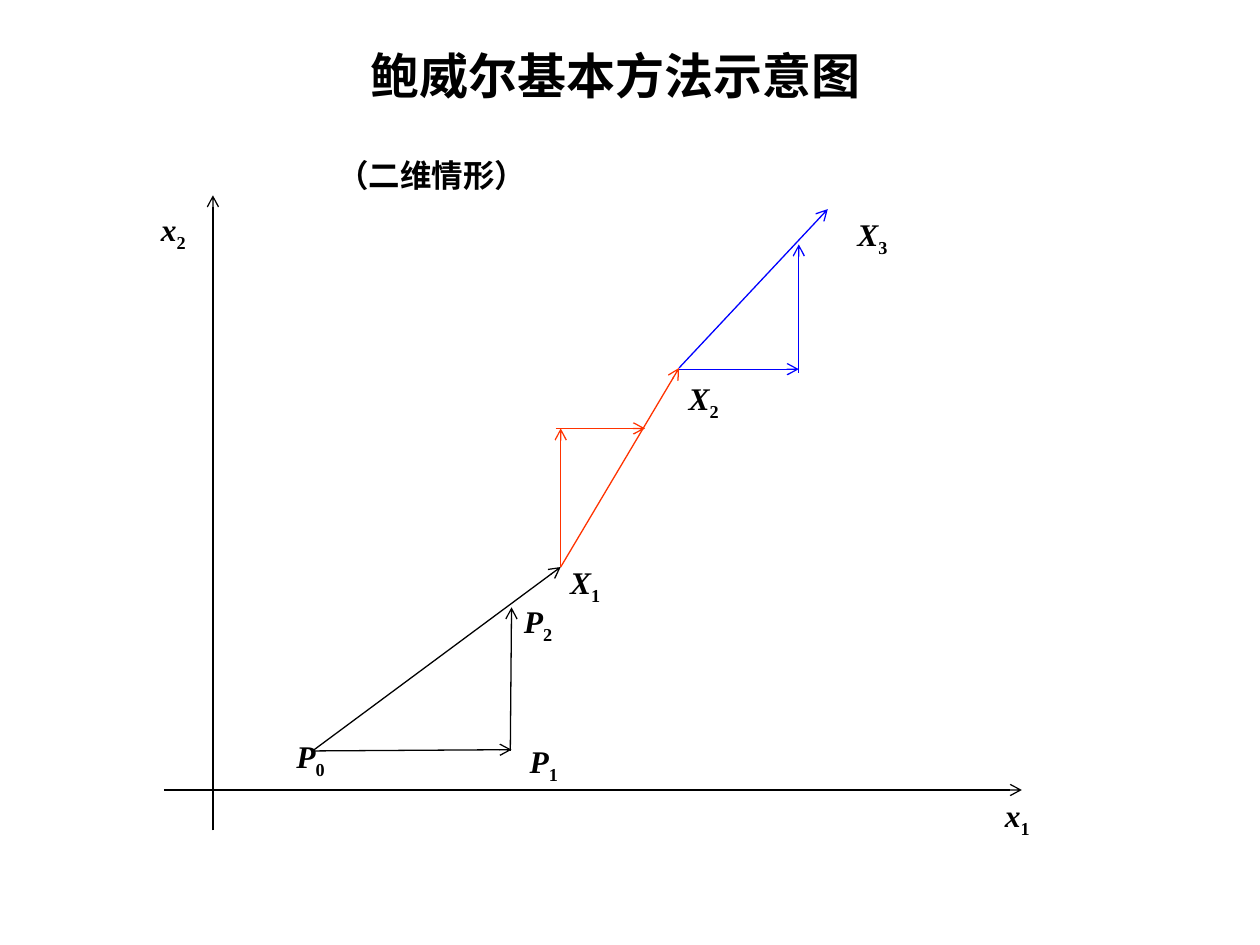
from pptx import Presentation
from pptx.dml.color import RGBColor
from pptx.enum.shapes import MSO_CONNECTOR
from pptx.enum.text import MSO_AUTO_SIZE, PP_ALIGN
from pptx.oxml.ns import qn
from pptx.util import Inches, Pt
from lxml.etree import SubElement

COLORS = {"black": "000000", "red": "FF3300", "blue": "0000FF"}
FONT = "Times New Roman"

# Points where one search cycle ends and the next begins
P0, X1, X2, X3 = (2.48, 5.96), (4.45, 4.5), (5.39, 2.92), (6.57, 1.66)

# Arrows by colour: (start, end)
ARROWS = {
    "black": [
        ((1.3, 6.27), (8.11, 6.27)),   # x1 axis
        ((1.69, 6.59), (1.69, 1.55)),  # x2 axis
        (P0, (4.06, 5.95)),
        ((4.05, 5.96), (4.06, 4.82)),
        (P0, X1),
    ],
    "red": [
        (X1, (4.45, 3.4)),
        ((4.41, 3.4), (5.12, 3.4)),
        (X1, X2),
    ],
    "blue": [
        ((5.39, 2.93), (6.34, 2.93)),
        ((6.34, 2.96), (6.34, 1.94)),
        (X2, X3),
    ],
}

# Headings: text, left, top, width, height, size
HEADINGS = [
    ("鲍威尔基本方法示意图", 2.66, 0.31, 4.45, 0.57, 28),
    ("（二维情形）", 1.77, 1.19, 3.31, 0.4, 18),
]

# Labels: letter, subscript, left, top, width
LABELS = [
    ("x", "1", 7.84, 6.27, 0.47),
    ("x", "2", 1.14, 1.62, 0.47),
    ("P", "0", 2.17, 5.8, 0.59),
    ("P", "1", 4.02, 5.84, 0.59),
    ("P", "2", 4.05, 4.73, 0.44),
    ("X", "1", 4.41, 4.42, 0.47),
    ("X", "2", 5.27, 2.96, 0.63),
    ("X", "3", 6.61, 1.66, 0.63),
]


def add_text(slide, text, left, top, width, height=0.4, size=18,
             italic=False, subscript="", wrap=True):
    box = slide.shapes.add_textbox(
        Inches(left), Inches(top), Inches(width), Inches(height))
    frame = box.text_frame
    frame.word_wrap = wrap
    frame.auto_size = MSO_AUTO_SIZE.SHAPE_TO_FIT_TEXT
    paragraph = frame.paragraphs[0]
    paragraph.alignment = PP_ALIGN.CENTER
    for part in filter(None, (text, subscript)):
        run = paragraph.add_run()
        run.text = part
        run.font.name = FONT
        run.font.size = Pt(size)
        run.font.bold = True
        run.font.italic = italic
        run.font.color.rgb = RGBColor.from_string(COLORS["black"])
    if subscript:
        run.font.italic = False
        run.font._element.set("baseline", "-25000")


def add_arrow(slide, start, end, color):
    points = [Inches(value) for value in (*start, *end)]
    arrow = slide.shapes.add_connector(MSO_CONNECTOR.STRAIGHT, *points)
    arrow.line.width = Pt(0.75)
    arrow.line.color.rgb = RGBColor.from_string(COLORS[color])
    SubElement(arrow.line._get_or_add_ln(), qn("a:tailEnd"),
               type="arrow", w="med", len="med")
    SubElement(arrow._element.spPr, qn("a:effectLst"))


def main():
    presentation = Presentation()
    presentation.slide_width = Inches(10)
    presentation.slide_height = Inches(7.5)
    slide = presentation.slides.add_slide(presentation.slide_layouts[6])

    # Axes and search directions
    for color, arrows in ARROWS.items():
        for start, end in arrows:
            add_arrow(slide, start, end, color)

    # Point and axis labels
    for letter, subscript, left, top, width in LABELS:
        add_text(slide, letter, left, top, width, italic=True,
                 subscript=subscript, wrap=width > 0.45)

    # Title and subtitle
    for text, left, top, width, height, size in HEADINGS:
        add_text(slide, text, left, top, width, height, size)

    presentation.save("out.pptx")


if __name__ == "__main__":
    main()
